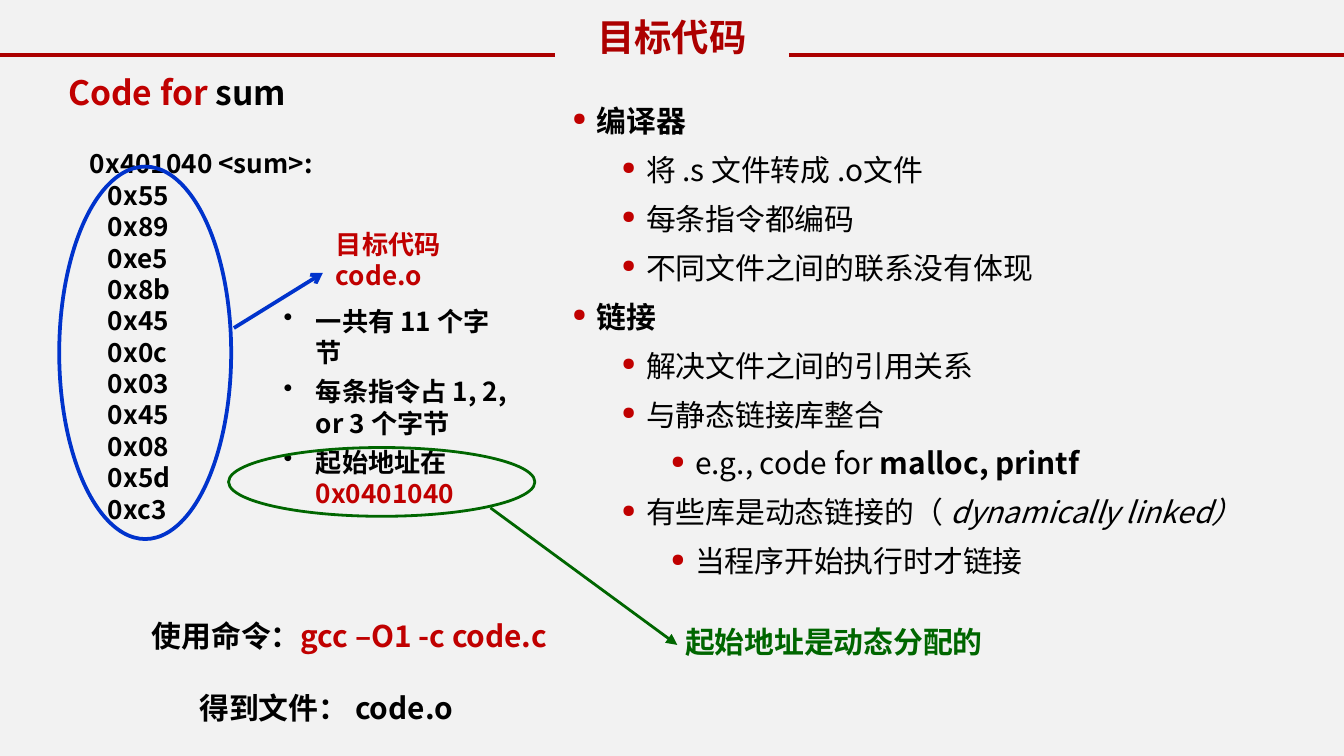
from lxml.etree import SubElement
from pptx import Presentation
from pptx.dml.color import RGBColor
from pptx.enum.shapes import MSO_CONNECTOR, MSO_SHAPE
from pptx.enum.text import PP_ALIGN
from pptx.oxml.ns import qn
from pptx.util import Cm, Pt

FONT = "Noto Sans CJK SC"
BLACK = RGBColor(0x00, 0x00, 0x00)
RED = RGBColor(0xC0, 0x00, 0x00)
DARK_RED = RGBColor(0xAC, 0x00, 0x00)
BLUE = RGBColor(0x00, 0x33, 0xCC)
GREEN = RGBColor(0x00, 0x66, 0x00)
GREY = RGBColor(0xF2, 0xF2, 0xF2)


class Deck:
    """Holds the style and the current slide; lengths are in centimetres."""

    def __init__(self, width, height):
        self.prs = Presentation()
        self.prs.slide_width, self.prs.slide_height = Cm(width), Cm(height)
        self.s = self.prs.slides.add_slide(self.prs.slide_layouts[6])
        fill = self.s.background.fill
        fill.solid()
        fill.fore_color.rgb = GREY

    def text(self, x, y, w, h):
        tf = self.s.shapes.add_textbox(Cm(x), Cm(y), Cm(w), Cm(h)).text_frame
        tf.word_wrap = True
        return tf

    def para(self, tf, runs, size, left=0, hang=0, before=0, level=0, spacing=None):
        """Add a paragraph of (text, colour, bold, italic) runs."""
        first = tf.paragraphs[0]
        p = tf.add_paragraph() if first.runs else first
        p.level = level
        p.space_before = Pt(before)
        if spacing:
            p.line_spacing = spacing
        pPr = p._p.get_or_add_pPr()
        pPr.set("marL", str(Cm(left)))
        pPr.set("indent", str(-Cm(hang)))
        for text, color, bold, italic in runs:
            r = p.add_run()
            r.text = text
            f = r.font
            f.name, f.size, f.bold, f.italic = FONT, Pt(size), bold, italic
            f.color.rgb = color
            SubElement(r._r.get_or_add_rPr(), qn("a:ea"), typeface=FONT)
        return p

    def bullet(self, p, char, color=None, percent=None):
        pPr = p._p.get_or_add_pPr()
        if color is not None:
            clr = SubElement(pPr, qn("a:buClr"))
            SubElement(clr, qn("a:srgbClr"), val=str(color))
        if percent:
            SubElement(pPr, qn("a:buSzPct"), val=str(percent * 1000))
        SubElement(pPr, qn("a:buChar"), char=char)

    def line(self, x1, y1, x2, y2, color, width, head=None):
        sp = self.s.shapes.add_connector(
            MSO_CONNECTOR.STRAIGHT, Cm(x1), Cm(y1), Cm(x2), Cm(y2))
        sp.line.color.rgb, sp.line.width = color, Pt(width)
        if head:
            SubElement(sp.line._get_or_add_ln(), qn("a:tailEnd"), type=head)
        SubElement(sp._element.spPr, qn("a:effectLst"))

    def ring(self, x, y, w, h, color, width):
        sp = self.s.shapes.add_shape(MSO_SHAPE.OVAL, Cm(x), Cm(y), Cm(w), Cm(h))
        sp.shadow.inherit = False
        sp.fill.background()
        sp.line.color.rgb, sp.line.width = color, Pt(width)


def bold(text, color=BLACK):
    return text, color, True, False


def plain(text, italic=False):
    return text, BLACK, False, italic


def main():
    d = Deck(25.4, 14.29)

    # Title between two rules
    d.line(0, 1.04, 10.49, 1.04, DARK_RED, 2)
    d.line(14.91, 1.04, 25.4, 1.04, DARK_RED, 2)
    p = d.para(d.text(10.49, 0.15, 4.42, 1.12), [bold("目标代码", DARK_RED)], 20)
    p.alignment = PP_ALIGN.CENTER

    # Heading and byte listing
    d.para(d.text(1.04, 1.24, 6.99, 1.14), [bold("Code for ", RED), bold("sum")],
           18, left=0.61, hang=0.61, before=5.4)
    tf = d.text(1.45, 2.67, 6.99, 7.44)
    d.para(tf, [bold("0x401040 <sum>:")], 14)
    for byte in "55 89 e5 8b 45 0c 03 45 08 5d c3".split():
        d.para(tf, [bold("0x" + byte)], 14, left=0.34)

    # Compiler and linker outline
    outline = [
        (0, [bold("编译器")]),
        (1, [plain("将 .s 文件转成 .o文件")]),
        (1, [plain("每条指令都编码")]),
        (1, [plain("不同文件之间的联系没有体现")]),
        (0, [bold("链接")]),
        (1, [plain("解决文件之间的引用关系")]),
        (1, [plain("与静态链接库整合")]),
        (2, [plain("e.g., code for "), bold("malloc, printf")]),
        (1, [plain("有些库是动态链接的（ "), plain("dynamically linked）", True)]),
        (2, [plain("当程序开始执行时才链接")]),
    ]
    tf = d.text(10.57, 1.68, 15.24, 12.17)
    for level, runs in outline:
        p = d.para(tf, runs, 16, left=0.46 + 0.93 * level, hang=0.46,
                   before=3.2, level=level, spacing=1.2)
        d.bullet(p, "●", RED, 60)

    # Notes on the object code
    tf = d.text(4.17, 5.64, 5.79, 4.27)
    for runs in ([bold("一共有 11 个字节")],
                 [bold("每条指令占 1, 2, or 3 个字节")],
                 [bold("起始地址在"), bold("0x0401040", RED)]):
        p = d.para(tf, runs, 14, left=1.55, hang=0.61, before=4.2, level=1)
        d.bullet(p, "•")

    # Command and resulting file
    tf = d.text(1.45, 11.56, 10.06, 2.31)
    d.para(tf, [bold("使用命令："), bold("gcc –O1 -c code.c", RED)], 16,
           left=1.17, level=1)
    d.para(tf, [bold("得到文件： code.o")], 16, left=2.07, before=19.2)

    # Bytes marked as object code
    d.ring(1.12, 3.15, 3.25, 7.04, BLUE, 2)
    d.line(4.42, 6.2, 6.1, 5.16, BLUE, 2, "arrow")
    tf = d.text(6.1, 4.19, 4.01, 1.45)
    for label in ("目标代码", "code.o"):
        d.para(tf, [bold(label, RED)], 14)

    # Start address remark
    d.ring(4.32, 8.46, 5.79, 1.3, GREEN, 1.5)
    d.line(9.27, 9.6, 12.8, 12.19, GREEN, 1.5, "triangle")
    d.para(d.text(12.7, 11.66, 7.9, 0.94), [bold("起始地址是动态分配的", GREEN)], 16)

    d.prs.save("out.pptx")


if __name__ == "__main__":
    main()
